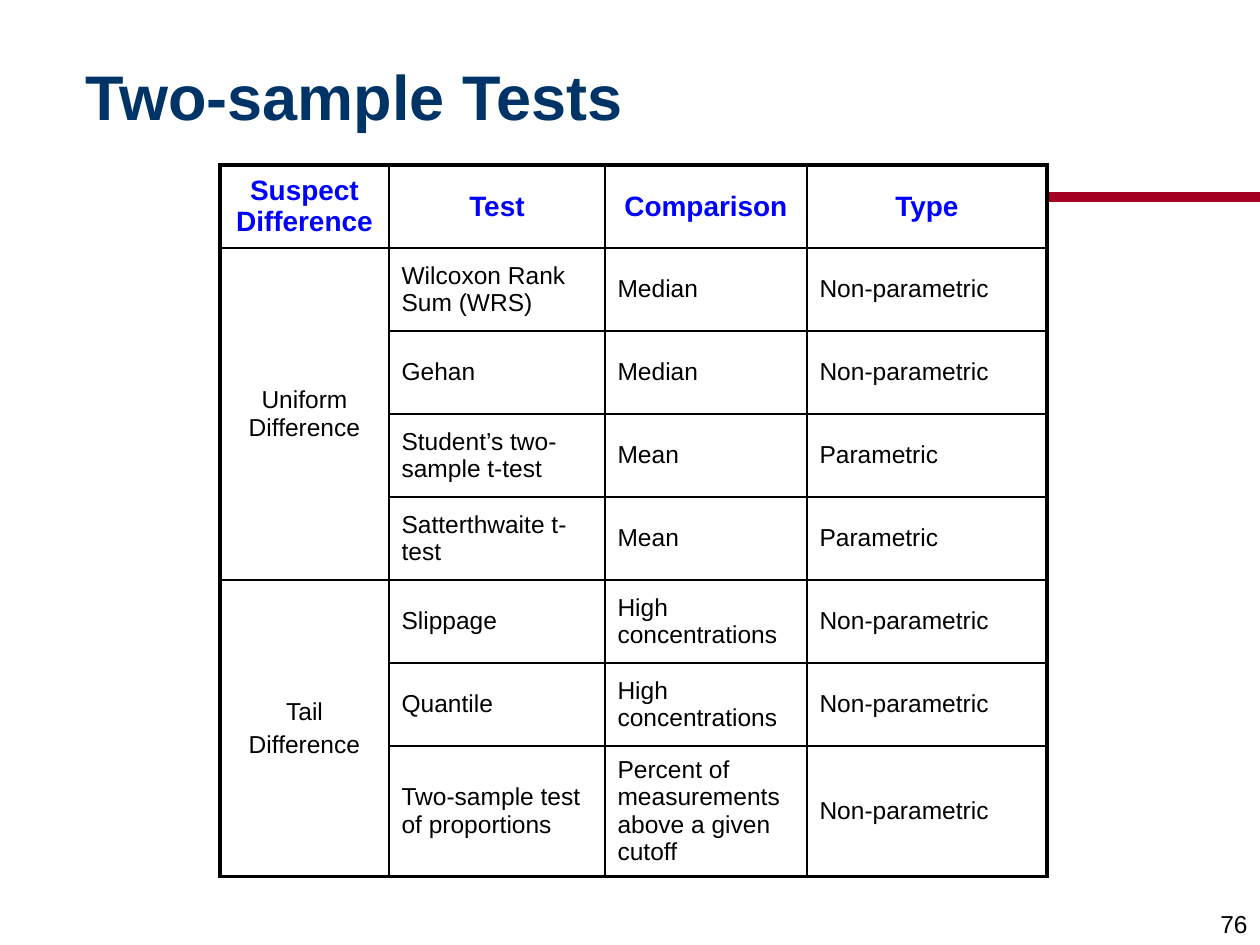
from dataclasses import dataclass

from lxml import etree
from pptx import Presentation
from pptx.dml.color import RGBColor
from pptx.enum.shapes import MSO_CONNECTOR
from pptx.enum.text import MSO_ANCHOR, PP_ALIGN
from pptx.oxml.ns import qn
from pptx.util import Emu, Pt

STRAIGHT = MSO_CONNECTOR.STRAIGHT
MIDDLE, BOTTOM = MSO_ANCHOR.MIDDLE, MSO_ANCHOR.BOTTOM
LEFT, CENTER, RIGHT = PP_ALIGN.LEFT, PP_ALIGN.CENTER, PP_ALIGN.RIGHT

NAVY = RGBColor(0x00, 0x33, 0x66)
CRIMSON = RGBColor(0xA5, 0x00, 0x21)
BLUE = RGBColor(0x00, 0x00, 0xFF)
BLACK = RGBColor(0x00, 0x00, 0x00)
INK = RGBColor(0x01, 0x00, 0x00)
WHITE = RGBColor(0xFF, 0xFF, 0xFF)

PX_PER_INCH = 126
THIN, THICK = 1, 2.25

TITLE_FONT = {"name": "Arial", "size": Pt(36), "bold": True}
HEADER_FONT = {"name": "Arial", "size": Pt(16), "bold": True}
BODY_FONT = {"name": "Arial", "size": Pt(14), "bold": False}

COLUMN_WIDTHS = [169, 216, 202, 240]
ROW_HEIGHTS = [83] * 7 + [123]
HEADERS = ["Suspect Difference", "Test", "Comparison", "Type"]


@dataclass
class TestGroup:
    label: str
    tests: list[tuple[str, str, str]]


GROUPS = [
    TestGroup("Uniform Difference", [
        ("Wilcoxon Rank Sum (WRS)", "Median", "Non-parametric"),
        ("Gehan", "Median", "Non-parametric"),
        ("Student’s two-sample t-test", "Mean", "Parametric"),
        ("Satterthwaite t-test", "Mean", "Parametric"),
    ]),
    TestGroup("Tail\nDifference", [
        ("Slippage", "High concentrations", "Non-parametric"),
        ("Quantile", "High concentrations", "Non-parametric"),
        ("Two-sample test of proportions",
         "Percent of measurements above a given cutoff", "Non-parametric"),
    ]),
]


def px(length: int) -> Emu:
    return Emu(round(length * 914400 / PX_PER_INCH))


def write(frame, text: str, font: dict, color: RGBColor, align) -> None:
    """Fill a text frame, one paragraph for each line of the text."""
    frame.text = text
    for index, para in enumerate(frame.paragraphs):
        para.alignment = align
        if index:
            para.space_before = Pt(3)
        for span in para.runs:
            for name, value in font.items():
                setattr(span.font, name, value)
            span.font.color.rgb = color


def set_borders(cell, widths: dict[str, float]) -> None:
    """Draw the cell edges; the keys must be in the order L, R, T, B."""
    properties = cell._tc.get_or_add_tcPr()
    for index, (side, width) in enumerate(widths.items()):
        line = etree.Element(qn(f"a:ln{side}"), w=str(Pt(width)))
        fill = etree.SubElement(line, qn("a:solidFill"))
        etree.SubElement(fill, qn("a:srgbClr"), val=str(BLACK))
        properties.insert(index, line)


def add_title(page) -> None:
    title = page.shapes.title
    title.left, title.top, title.width, title.height = map(px, (73, 21, 1124, 158))
    frame = title.text_frame
    frame.vertical_anchor = MIDDLE
    write(frame, "Two-sample Tests", TITLE_FONT, NAVY, LEFT)
    frame.paragraphs[0].line_spacing = 0.9


def add_rule(page) -> None:
    rule = page.shapes.add_connector(STRAIGHT, px(399), px(197), px(1260), px(197))
    rule.line.color.rgb = CRIMSON
    rule.line.width = Pt(6)
    etree.SubElement(rule._element.spPr, qn("a:effectLst"))


def add_page_number(page) -> None:
    box = page.shapes.add_textbox(px(998), px(882), px(262), px(63))
    box.text_frame.word_wrap = True
    box.text_frame.vertical_anchor = BOTTOM
    write(box.text_frame, "76", BODY_FONT, BLACK, RIGHT)


def add_tests_table(page) -> None:
    row_count, column_count = len(ROW_HEIGHTS), len(COLUMN_WIDTHS)
    table = page.shapes.add_table(
        row_count, column_count, px(220), px(165),
        px(sum(COLUMN_WIDTHS)), px(sum(ROW_HEIGHTS))).table
    table.first_row = table.horz_banding = False
    for column, width in zip(table.columns, COLUMN_WIDTHS):
        column.width = px(width)
    for row, height in zip(table.rows, ROW_HEIGHTS):
        row.height = px(height)

    for index, header in enumerate(HEADERS):
        write(table.cell(0, index).text_frame, header, HEADER_FONT, BLUE, CENTER)
    first = 1
    for group in GROUPS:
        last = first + len(group.tests) - 1
        table.cell(first, 0).merge(table.cell(last, 0))
        write(table.cell(first, 0).text_frame, group.label, BODY_FONT, INK, CENTER)
        for row, test in enumerate(group.tests, first):
            for column, text in enumerate(test, 1):
                write(table.cell(row, column).text_frame, text, BODY_FONT, INK, LEFT)
        first = last + 1

    for row in range(row_count):
        for column in range(column_count):
            cell = table.cell(row, column)
            cell.vertical_anchor = MIDDLE
            cell.fill.solid()
            cell.fill.fore_color.rgb = WHITE
            end = row + (cell.span_height if cell.is_merge_origin else 1)
            set_borders(cell, {
                "L": THICK if column == 0 else THIN,
                "R": THICK if column == column_count - 1 else THIN,
                "T": THICK if row == 0 else THIN,
                "B": THICK if end == row_count else THIN,
            })


def main() -> None:
    deck = Presentation()
    deck.slide_width, deck.slide_height = px(1260), px(945)
    page = deck.slides.add_slide(deck.slide_layouts[5])
    add_rule(page)
    add_title(page)
    add_page_number(page)
    add_tests_table(page)
    deck.save("out.pptx")


if __name__ == "__main__":
    main()
